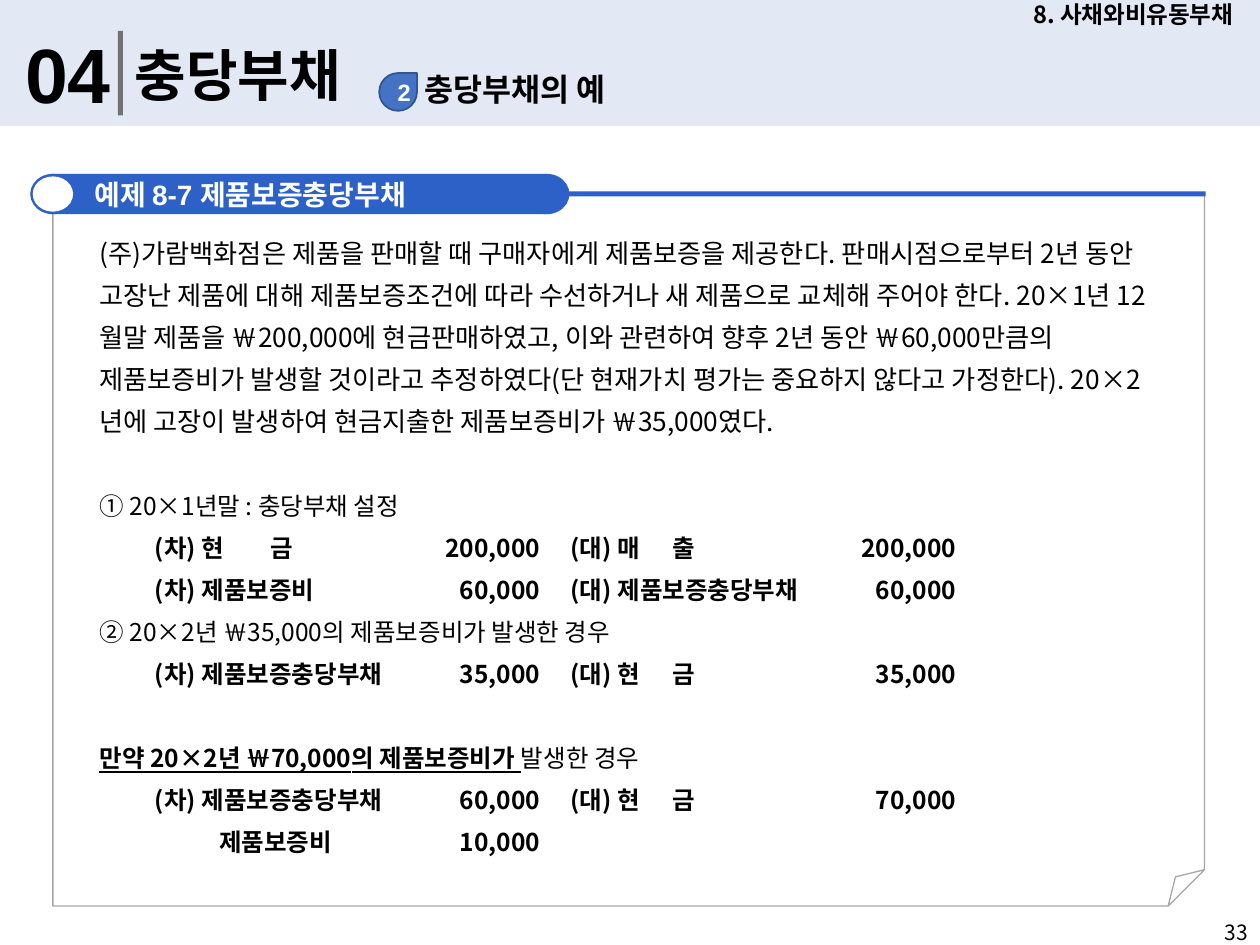
import pptx
import pptx.dml.color
import pptx.enum.shapes
import pptx.enum.text
import pptx.oxml
import pptx.oxml.ns
import pptx.util
from pptx.util import Inches

KOREAN = "Noto Sans CJK KR"
BLUE = "2D61C8"
SHAPES = pptx.enum.shapes.MSO_SHAPE
ALIGN = pptx.enum.text.PP_ALIGN
ANCHOR = pptx.enum.text.MSO_ANCHOR
ENTRY_TABS = [(0.44, "l"), (0.95, "l"), (1.36, "l"), (3.5, "r"),
              (3.74, "l"), (4.55, "l"), (6.8, "r")]

PROBLEM = (
    "(주)가람백화점은 제품을 판매할 때 구매자에게 제품보증을 제공한다. "
    "판매시점으로부터 2년 동안 고장난 제품에 대해 제품보증조건에 따라 "
    "수선하거나 새 제품으로 교체해 주어야 한다. 20×1년 12월말 제품을 "
    "￦200,000에 현금판매하였고, 이와 관련하여 향후 2년 동안 "
    "￦60,000만큼의 제품보증비가 발생할 것이라고 추정하였다"
    "(단 현재가치 평가는 중요하지 않다고 가정한다). 20×2년에 고장이 "
    "발생하여 현금지출한 제품보증비가 ￦35,000였다."
)
CASES = [
    ([("① 20×1년말 : 충당부채 설정", {})], 24, [
        "\t(차) 현\t금\t200,000\t(대) 매\t출\t200,000",
        "\t(차) 제품보증비\t60,000\t(대) 제품보증충당부채\t60,000",
    ]),
    ([("② 20×2년 ￦35,000의 제품보증비가 발생한 경우", {})], 0, [
        "\t(차) 제품보증충당부채\t35,000\t(대) 현\t금\t35,000",
    ]),
    ([("만약 20×2년 ￦70,000의 제품보증비가 ", {"bold": True, "underline": True}),
      ("발생한 경우", {})], 24, [
        "\t(차) 제품보증충당부채\t60,000\t(대) 현\t금\t70,000",
        "\t\t제품보증비\t10,000",
    ]),
]


def color(value):
    return pptx.dml.color.RGBColor.from_string(value)


def element(parent, tag, **attributes):
    child = pptx.oxml.parse_xml(f"<a:{tag} {pptx.oxml.ns.nsdecls('a')}/>")
    for name, value in attributes.items():
        child.set(name, str(value))
    parent.append(child)
    return child


def find(shape, tag):
    return shape._element.spPr.find(".//" + pptx.oxml.ns.qn(tag))


def add_run(paragraph, text, size=14, font=KOREAN, fill="000000",
            bold=False, underline=False):
    run = paragraph.add_run()
    run.text = text
    run.font.size = pptx.util.Pt(size)
    run.font.bold = bold
    run.font.underline = underline
    run.font.color.rgb = color(fill)
    run.font.name = font
    element(run.font._element, "ea", typeface=font)


def set_tabs(paragraph, stops):
    tab_list = element(paragraph._p.get_or_add_pPr(), "tabLst")
    for position, alignment in stops:
        element(tab_list, "tab", pos=int(Inches(position)), algn=alignment)


def set_frame(shape, anchor=ANCHOR.TOP, left=0.1, right=0.1):
    frame = shape.text_frame
    frame.word_wrap = True
    frame.vertical_anchor = anchor
    frame.margin_left, frame.margin_right = Inches(left), Inches(right)
    return frame


def add_shape(slide, kind, left, top, width, height, fill=None, line=None,
              line_width=1, opacity=None):
    shape = slide.shapes.add_shape(
        kind, Inches(left), Inches(top), Inches(width), Inches(height))
    shape.shadow.inherit = False
    if fill:
        shape.fill.solid()
        shape.fill.fore_color.rgb = color(fill)
        if opacity:
            element(find(shape, "a:srgbClr"), "alpha", val=opacity * 1000)
    else:
        shape.fill.background()
    if line:
        shape.line.color.rgb = color(line)
        shape.line.width = pptx.util.Pt(line_width)
    else:
        shape.line.fill.background()
    return shape


def add_box(slide, left, top, width, height):
    return slide.shapes.add_textbox(
        Inches(left), Inches(top), Inches(width), Inches(height))


def add_label(slide, text, left, top, width, height, align=ALIGN.LEFT,
              anchor=ANCHOR.TOP, right=0.1, **run_format):
    box = add_box(slide, left, top, width, height)
    paragraph = set_frame(box, anchor, right=right).paragraphs[0]
    paragraph.alignment = align
    add_run(paragraph, text, **run_format)


def add_example_panel(slide):
    panel = add_shape(slide, SHAPES.FOLDED_CORNER, 0.42, 1.54, 9.14, 5.65,
                      line="A6A6A6", line_width=0.75)
    element(find(panel, "a:avLst"), "gd", name="adj", fmla="val 5100")
    add_shape(slide, SHAPES.RECTANGLE, 0.43, 1.52, 9.14, 0.04, BLUE)
    for left in (0.24, 4.16):
        add_shape(slide, SHAPES.OVAL, left, 1.38, 0.36, 0.32, BLUE)
    banner = add_shape(slide, SHAPES.RECTANGLE, 0.41, 1.38, 3.93, 0.32, BLUE)
    paragraph = set_frame(banner, ANCHOR.MIDDLE, left=0.34).paragraphs[0]
    paragraph.alignment = ALIGN.LEFT
    for text, font in (("예제 ", KOREAN), ("8-7 ", "Arial"), ("제품보증충당부채", KOREAN)):
        add_run(paragraph, text, size=16, font=font, fill="FFFFFF", bold=True)
    add_shape(slide, SHAPES.OVAL, 0.26, 1.4, 0.32, 0.28, "FFFFFF")


def add_example_text(slide):
    frame = set_frame(add_box(slide, 0.68, 1.75, 8.67, 5.13), left=0.11, right=0.11)
    add_run(frame.paragraphs[0], PROBLEM, size=15)
    for heading, space, entries in CASES:
        paragraph = frame.add_paragraph()
        paragraph.space_before = pptx.util.Pt(space)
        for text, run_format in heading:
            add_run(paragraph, text, **run_format)
        for entry in entries:
            paragraph = frame.add_paragraph()
            set_tabs(paragraph, ENTRY_TABS)
            add_run(paragraph, entry, bold=True)
    for paragraph in frame.paragraphs:
        paragraph.line_spacing = pptx.util.Pt(24)


def add_header(slide):
    add_shape(slide, SHAPES.RECTANGLE, 0, 0, 10, 1, "DAE3F3", opacity=76)
    add_label(slide, "04", 0.1, 0.16, 0.91, 0.84, size=44, font="Arial", bold=True)
    divider = add_shape(slide, SHAPES.RECTANGLE, 0.62, 0.56, 0.67, 0.04, "767171")
    divider.rotation = 270
    add_label(slide, "충당부채", 0.97, 0.27, 6.42, 0.64, size=32, bold=True)
    add_label(slide, "충당부채의 예", 3.27, 0.51, 3.74, 0.4, size=18, bold=True)
    badge = add_shape(slide, SHAPES.TEAR, 3.01, 0.58, 0.3, 0.3, "4472C4", "325491")
    paragraph = set_frame(badge, ANCHOR.MIDDLE, left=0.1, right=0).paragraphs[0]
    paragraph.alignment = ALIGN.CENTER
    add_run(paragraph, "2", size=13.5, font="Arial", fill="FFFFFF", bold=True)
    add_label(slide, "8. 사채와비유동부채", 7.99, 0, 2.01, 0.23, align=ALIGN.CENTER,
              anchor=ANCHOR.MIDDLE, size=13.5, bold=True)


def main():
    presentation = pptx.Presentation()
    presentation.slide_width = Inches(10)
    presentation.slide_height = Inches(7.5)
    slide = presentation.slides.add_slide(presentation.slide_layouts[6])
    add_example_panel(slide)
    add_example_text(slide)
    add_header(slide)
    add_label(slide, "33", 9.62, 7.25, 0.38, 0.25, right=0, size=12)
    presentation.save("out.pptx")


if __name__ == "__main__":
    main()
